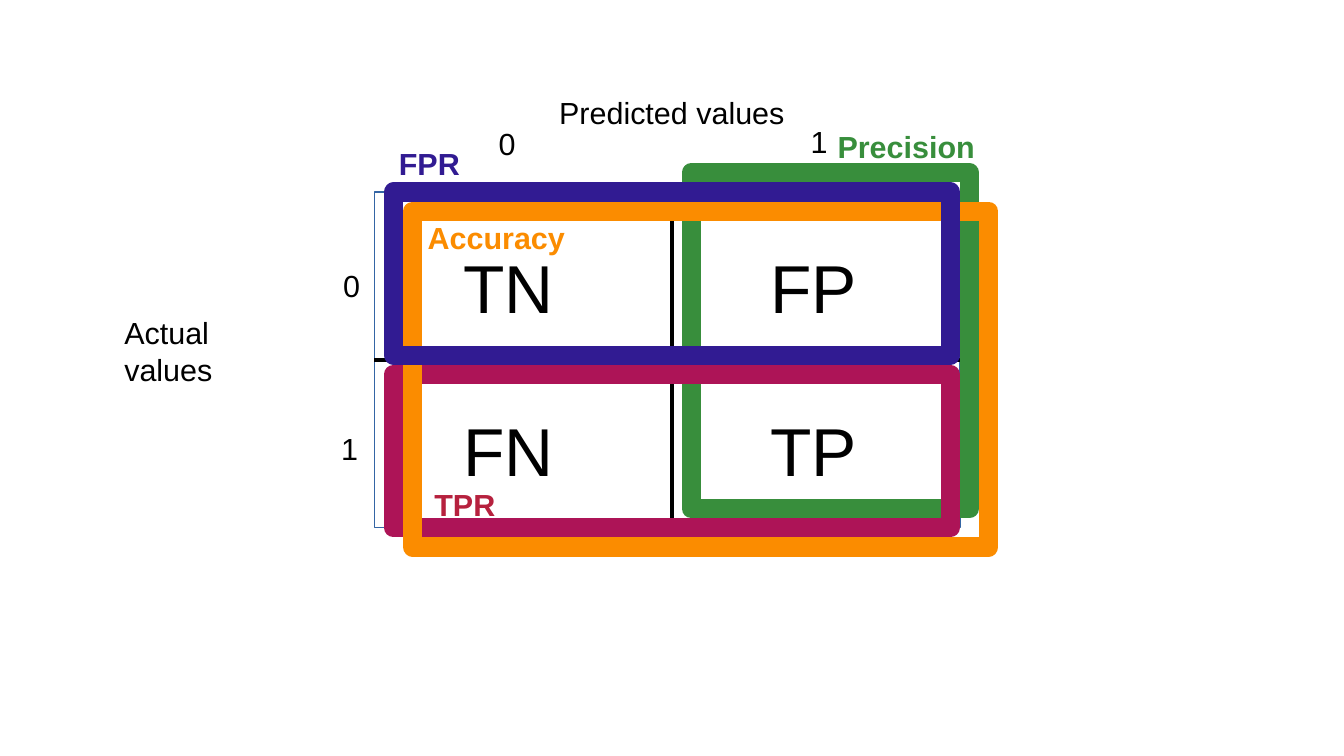
from dataclasses import dataclass

from lxml.etree import SubElement
from pptx import Presentation
from pptx.dml.color import RGBColor
from pptx.enum.shapes import MSO_CONNECTOR as Connector, MSO_SHAPE as Preset
from pptx.enum.text import MSO_ANCHOR as Anchor, MSO_AUTO_SIZE as AutoSize, PP_ALIGN as Align
from pptx.oxml.ns import qn
from pptx.slide import Slide
from pptx.util import Inches, Pt

WIDTH, HEIGHT = 11.02, 6.2
UNIT = WIDTH / 70  # side of one square grid cell, 70 columns across the slide
FRAME_WEIGHT = 11.34
COLORS = {
    "ink": "000000",
    "outline": "3465A4",
    "precision": "388E3C",
    "tpr": "AD1457",
    "tpr_label": "B6213E",
    "accuracy": "FB8C00",
    "fpr": "311B92",
}


@dataclass(frozen=True)
class Area:
    col: float
    row: float
    cols: float
    rows: float


@dataclass(frozen=True)
class Label:
    words: str
    area: Area
    color: str = "ink"
    size: int = 18
    bold: bool = False
    wrap: bool = False


@dataclass(frozen=True)
class Frame:
    area: Area
    color: str
    weight: float = FRAME_WEIGHT


def grid(cells: float) -> int:
    return Inches(cells * UNIT)


def rgb(color: str) -> RGBColor:
    return RGBColor.from_string(COLORS[color])


def place(area: Area) -> tuple[int, ...]:
    return tuple(map(grid, (area.col, area.row, area.cols, area.rows)))


def draw_frame(page: Slide, frame: Frame) -> None:
    box = page.shapes.add_shape(Preset.RECTANGLE, *place(frame.area))
    box.shadow.inherit = False
    box.fill.background()
    box.line.color.rgb = rgb(frame.color)
    box.line.width = Pt(frame.weight)
    SubElement(box.line._get_or_add_ln(), qn("a:round"))


def draw_divider(page: Slide, start: tuple[float, float], end: tuple[float, float]) -> None:
    line = page.shapes.add_connector(Connector.STRAIGHT, *map(grid, start + end))
    line.line.color.rgb = rgb("ink")
    line.line.width = Pt(0)
    SubElement(line._element.spPr, qn("a:effectLst"))


def draw_label(page: Slide, label: Label) -> None:
    box = page.shapes.add_textbox(*place(label.area))
    frame_format = {
        "word_wrap": label.wrap,
        "auto_size": AutoSize.SHAPE_TO_FIT_TEXT,
        "vertical_anchor": Anchor.TOP,
    }
    for name, value in frame_format.items():
        setattr(box.text_frame, name, value)
    para = box.text_frame.paragraphs[0]
    para.alignment = Align.LEFT
    span = para.add_run()
    span.text = label.words
    span_format = {"name": "Arial", "size": Pt(label.size), "bold": label.bold}
    for name, value in span_format.items():
        setattr(span.font, name, value)
    span.font.color.rgb = rgb(label.color)


MATRIX = Area(19.5, 10, 30.5, 17.5)
CELL_COLS, CELL_ROWS = (23.5, 39.5), (12.5, 21)
CELL_WORDS = (("TN", "FP"), ("FN", "TP"))

AXIS_LABELS = (
    Label("Predicted values", Area(28.5, 4.6, 13, 2.4)),
    Label("Actual values", Area(5.85, 16.05, 10.65, 2.4)),
    Label("0", Area(17.25, 13.6, 2.15, 2.4)),
    Label("1", Area(17.15, 22.1, 2.15, 2.4)),
    Label("0", Area(25.35, 6.2, 2.15, 2.4)),
    Label("1", Area(41.6, 6.1, 2.15, 2.4)),
)

# Metrics from back to front
METRICS = (
    Frame(Area(36, 9, 14.5, 17.5), "precision"),
    Frame(Area(20.5, 19.5, 29, 8), "tpr"),
    Frame(Area(21.5, 11, 30, 17.5), "accuracy"),
    Label("Precision", Area(43, 6.35, 8.4, 2.4), "precision", bold=True),
    Label("TPR", Area(22, 25, 5.9, 2.4), "tpr_label", bold=True),
    Label("Accuracy", Area(21.65, 11.1, 8.4, 2.4), "accuracy", bold=True),
    Frame(Area(20.5, 10, 29, 8.5), "fpr"),
    Label("FPR", Area(20.15, 7.25, 8.4, 2.4), "fpr", bold=True),
)


def draw_matrix(page: Slide) -> None:
    draw_frame(page, Frame(MATRIX, "outline", 0))
    right, bottom = MATRIX.col + MATRIX.cols, MATRIX.row + MATRIX.rows
    middle_col, middle_row = 35, MATRIX.row + MATRIX.rows / 2
    draw_divider(page, (middle_col, MATRIX.row), (middle_col, bottom))
    draw_divider(page, (MATRIX.col, middle_row), (right, middle_row))
    for row, words in zip(CELL_ROWS, CELL_WORDS):
        for col, word in zip(CELL_COLS, words):
            draw_label(page, Label(word, Area(col, row, 7, 5), size=40, wrap=True))


def main() -> None:
    deck = Presentation()
    deck.slide_width, deck.slide_height = Inches(WIDTH), Inches(HEIGHT)
    page = deck.slides.add_slide(deck.slide_layouts[6])

    # Confusion matrix with its axes
    draw_matrix(page)
    for label in AXIS_LABELS:
        draw_label(page, label)

    # Coloured frames and names of the metrics
    for part in METRICS:
        if isinstance(part, Frame):
            draw_frame(page, part)
        else:
            draw_label(page, part)

    deck.save("out.pptx")


if __name__ == "__main__":
    main()
